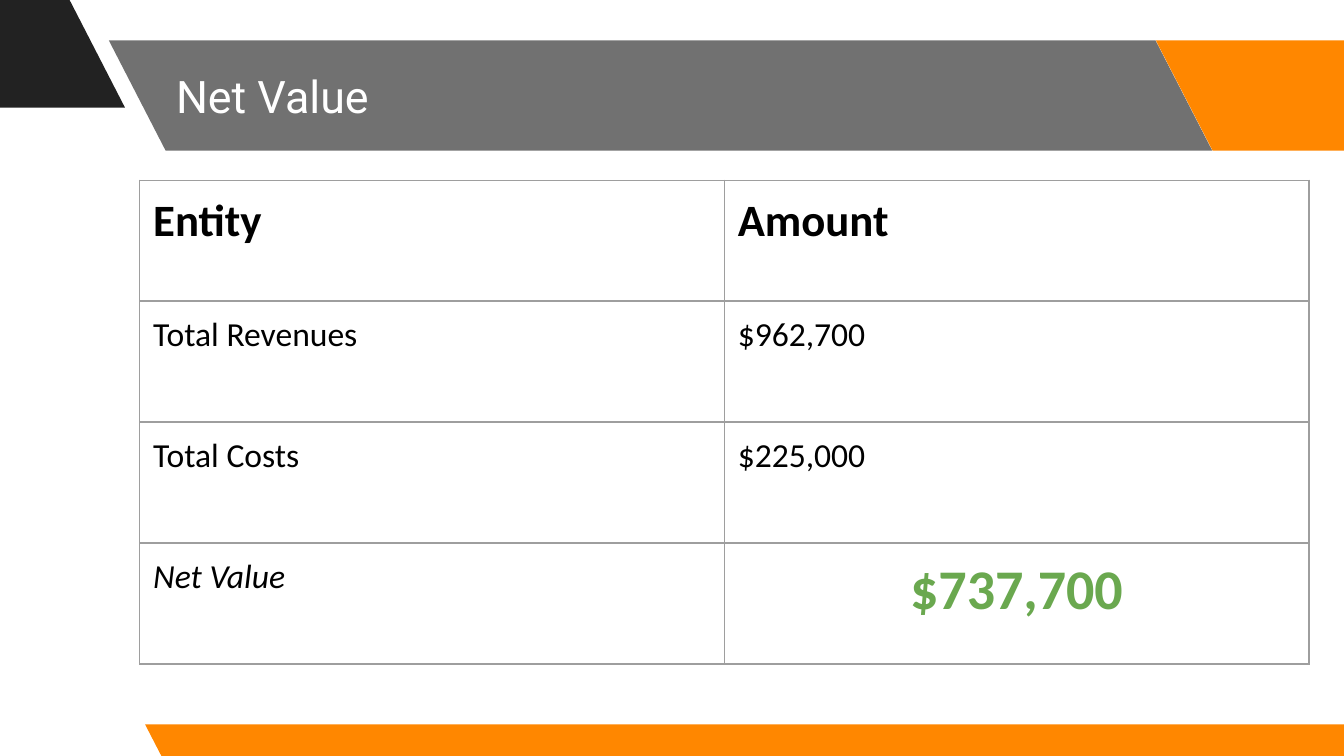
from lxml.etree import SubElement
from pptx import Presentation
from pptx.dml.color import RGBColor
from pptx.enum.shapes import MSO_SHAPE
from pptx.enum.text import MSO_ANCHOR, MSO_AUTO_SIZE, PP_ALIGN
from pptx.oxml.ns import qn
from pptx.util import Inches, Pt

DARK, ORANGE, WHITE = "222222", "FF8700", "FFFFFF"
BLACK, GREEN, RULE = "000000", "6AA84F", "9E9E9E"
ROWS = [
    ("Entity", "Amount"),
    ("Total Revenues", "$962,700"),
    ("Total Costs", "$225,000"),
    ("Net Value", "$737,700"),
]


def color(text):
    return RGBColor.from_string(text)


def style(para, face, size, tint, bold=False, italic=False):
    for run in para.runs:
        font = run.font
        font.name, font.size = face, Pt(size)
        font.bold, font.italic = bold, italic
        font.color.rgb = color(tint)


def add_bar(slide, left, top, width, height, tint, alpha=100):
    """Add a slanted bar behind the title."""
    bar = slide.shapes.add_shape(
        MSO_SHAPE.PARALLELOGRAM,
        Inches(left), Inches(top), Inches(width), Inches(height))
    bar.adjustments[0] = 0.515
    bar.shadow.inherit = False
    bar.fill.solid()
    bar.fill.fore_color.rgb = color(tint)
    bar.line.fill.background()
    props = bar._element.spPr
    props.find(qn("a:xfrm")).set("flipH", "1")
    if alpha < 100:
        rgb = props.find(qn("a:solidFill")).find(qn("a:srgbClr"))
        SubElement(rgb, qn("a:alpha")).set("val", str(alpha * 1000))
    slide.shapes.title._element.addprevious(bar._element)


def add_header(slide, left, top, width, height):
    # Corner, title band and orange end
    add_bar(slide, left - 1.8, top - 0.32, 1.92, height, DARK)
    add_bar(slide, left, top, width, height, DARK, 64)
    add_bar(slide, left + 7.79, top, 1.92, height, ORANGE)

    # Title
    title = slide.shapes.title
    title.left, title.top = Inches(left + 0.4), Inches(top)
    title.width, title.height = Inches(7.35), Inches(height)
    frame = title.text_frame
    frame.text = "Net Value"
    frame.auto_size = MSO_AUTO_SIZE.NONE
    frame.vertical_anchor = MSO_ANCHOR.MIDDLE
    frame.margin_left = frame.margin_right = Inches(0.1)
    frame.margin_top = frame.margin_bottom = Inches(0.1)
    para = frame.paragraphs[0]
    para.alignment = PP_ALIGN.LEFT
    style(para, "Roboto", 24, WHITE)


def add_rules(cell):
    """Draw the four borders of a cell."""
    props = cell._tc.get_or_add_tcPr()
    for side in ("lnL", "lnR", "lnT", "lnB"):
        line = SubElement(props, qn(f"a:{side}"), w=str(Pt(0.75)))
        fill = SubElement(line, qn("a:solidFill"))
        SubElement(fill, qn("a:srgbClr"), val=RULE)


def add_values(slide, left, top, width, height):
    table = slide.shapes.add_table(
        len(ROWS), 2, Inches(left), Inches(top),
        Inches(width), Inches(height)).table
    table.first_row = table.horz_banding = False
    for col in table.columns:
        col.width = Inches(width / 2)
    last = len(ROWS) - 1
    for r, row in enumerate(ROWS):
        table.rows[r].height = Inches(height / len(ROWS))
        for c, text in enumerate(row):
            cell = table.cell(r, c)
            cell.text = text
            cell.margin_left = cell.margin_right = Inches(0.1)
            cell.margin_top = cell.margin_bottom = Inches(0.1)
            add_rules(cell)
            cell.fill.background()
            para = cell.text_frame.paragraphs[0]
            if (r, c) == (last, 1):
                para.alignment = PP_ALIGN.CENTER
                style(para, "Calibri", 30, GREEN, bold=True)
            elif r == 0:
                style(para, "Calibri", 24, BLACK, bold=True)
            else:
                style(para, "Calibri", 18, BLACK, italic=r == last)


def main():
    deck = Presentation()
    # Widescreen, 16 by 9
    deck.slide_width = Inches(10)
    deck.slide_height = deck.slide_width * 9 // 16
    slide = deck.slides.add_slide(deck.slide_layouts[5])
    add_header(slide, 0.81, 0.3, 8.21, 0.82)
    # Footer
    add_bar(slide, 1.08, 5.39, 9.15, 0.25, ORANGE)
    add_values(slide, 1.04, 1.34, 8.7, 3.6)
    deck.save("out.pptx")


if __name__ == "__main__":
    main()
